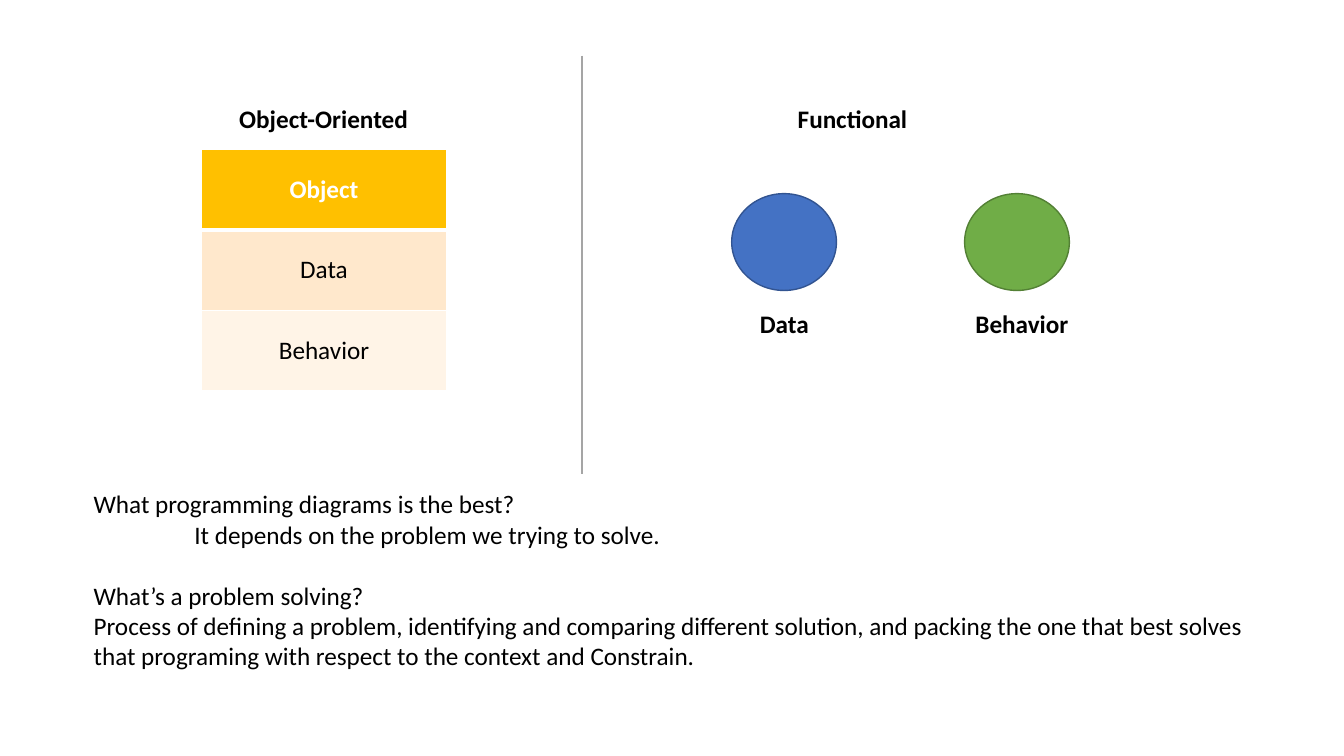
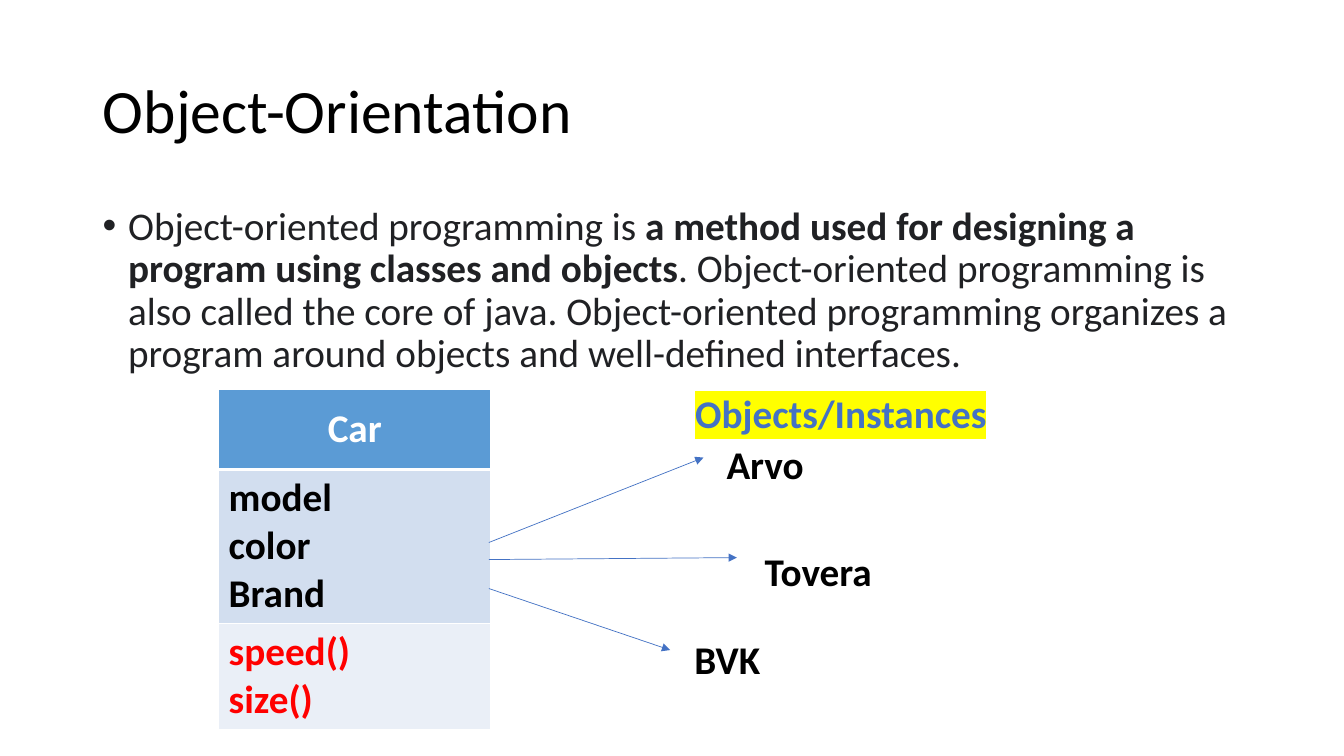
import dataclasses

import pptx
import pptx.dml.color
import pptx.enum.shapes
import pptx.enum.text
import pptx.oxml.xmlchemy
import pptx.util

Cm = pptx.util.Cm
Pt = pptx.util.Pt
ALIGN = pptx.enum.text.PP_ALIGN
ANCHOR = pptx.enum.text.MSO_ANCHOR
SHAPE = pptx.enum.shapes.MSO_SHAPE
LINE = pptx.enum.shapes.MSO_CONNECTOR.STRAIGHT


@dataclasses.dataclass(frozen=True)
class Theme:
    font: str = "Calibri"
    small: int = 18
    large: int = 28
    title: int = 44
    black: str = "000000"
    white: str = "FFFFFF"
    ink: str = "202124"
    gray: str = "A5A5A5"
    red: str = "FF0000"
    yellow: str = "FFFF00"
    blue: str = "4472C4"
    navy: str = "325491"
    green: str = "70AD47"
    moss: str = "538035"
    gold: tuple = ("FFC000", "FFE8CC", "FFF4E7")
    sky: tuple = ("5B9BD5", "D2DEEF", "EAEFF7")


THEME = Theme()


def rgb(code):
    return pptx.dml.color.RGBColor.from_string(code)


def make(tag, **attrs):
    node = pptx.oxml.xmlchemy.OxmlElement(tag)
    for name, value in attrs.items():
        node.set(name, str(value))
    return node


def style(para, size, color=THEME.black, bold=False, align=ALIGN.LEFT):
    para.alignment = align
    font = para.font
    font.name, font.size, font.bold = THEME.font, Pt(size), bold
    font.color.rgb = rgb(color)


def fill(frame, lines, size, **look):
    """Write one styled paragraph for each line and return them."""
    frame.text = "\n".join(lines)
    for para in frame.paragraphs:
        style(para, size, **look)
    return frame.paragraphs


def frame(slide, left, top, width, height):
    box = slide.shapes.add_textbox(Cm(left), Cm(top), Cm(width), Cm(height))
    box.text_frame.word_wrap = True
    return box.text_frame


def label(slide, box, text, size, **look):
    look.setdefault("bold", True)
    return fill(frame(slide, *box), [text], size, **look)[0]


def indent(para, left, first=0):
    props = para._p.get_or_add_pPr()
    props.set("marL", str(Cm(left)))
    props.set("indent", str(Cm(first)))
    return props


def line(slide, start, end, color, width, arrow=False):
    points = [Cm(value) for value in (*start, *end)]
    link = slide.shapes.add_connector(LINE, *points)
    link.line.color.rgb = rgb(color)
    link.line.width = Pt(width)
    props = link._element.spPr
    if arrow:
        props.get_or_add_ln().append(make("a:tailEnd", type="triangle"))
    props.append(make("a:effectLst"))


def border(cell, top, bottom):
    """Draw white cell edges; top and bottom are widths in points."""
    props = cell._tc.get_or_add_tcPr()
    for spot, (side, width) in enumerate(zip("LRTB", (1, 1, top, bottom))):
        edge = make("a:ln" + side, w=Pt(width))
        paint = make("a:solidFill")
        paint.append(make("a:srgbClr", val=THEME.white))
        edge.append(paint)
        props.insert(spot, edge)


def card(slide, left, top, width, rows, fills, size):
    """Add a one-column table; rows holds (height, lines, look)."""
    total = sum(row[0] for row in rows)
    table = slide.shapes.add_table(
        len(rows), 1, Cm(left), Cm(top), Cm(width), Cm(total)).table
    table.first_row = table.horz_banding = False
    for index, ((height, lines, look), color) in enumerate(zip(rows, fills)):
        table.rows[index].height = Cm(height)
        cell = table.cell(index, 0)
        cell.fill.solid()
        cell.fill.fore_color.rgb = rgb(color)
        border(cell, 3 if index == 1 else 1, 3 if index == 0 else 1)
        fill(cell.text_frame, lines, size, **look)
        if look.get("align") == ALIGN.CENTER:
            cell.vertical_anchor = ANCHOR.MIDDLE


HEAD = dict(color=THEME.white, bold=True, align=ALIGN.CENTER)


def object_side(slide, left, top):
    label(slide, (left, top, 7.67, 1.02), "Object-Oriented", THEME.small,
          align=ALIGN.CENTER)
    mid = dict(align=ALIGN.CENTER)
    rows = [(2.03, ["Object"], HEAD), (2.03, ["Data"], mid),
            (2.03, ["Behavior"], mid)]
    card(slide, left + 0.76, top + 1.27, 6.17, rows, THEME.gold, THEME.small)


def function_side(slide, left, top):
    label(slide, (left, top, 7.67, 1.02), "Functional", THEME.small,
          align=ALIGN.CENTER)
    parts = [("Data", 0.79, -1.72, THEME.blue, THEME.navy),
             ("Behavior", 6.66, 4.27, THEME.green, THEME.moss)]
    for name, ball, text, color, edge in parts:
        disc = slide.shapes.add_shape(
            SHAPE.OVAL, Cm(left + ball), Cm(top + 2.39), Cm(2.64), Cm(2.44))
        disc.shadow.inherit = False
        disc.fill.solid()
        disc.fill.fore_color.rgb = rgb(color)
        disc.line.color.rgb = rgb(edge)
        disc.line.width = Pt(1)
        label(slide, (left + text, top + 5.16, 7.67, 1.02), name,
              THEME.small, align=ALIGN.CENTER)


def answers(slide, box):
    paras = fill(frame(slide, *box), [
        "What programming diagrams is the best?",
        "It depends on the problem we trying to solve.",
        "What’s a problem solving?",
        "Process of defining a problem, identifying and comparing different "
        "solution, and packing the one that best solves that programing with "
        "respect to the context and Constrain."], THEME.small)
    indent(paras[1], 2.54)
    paras[2].space_before = Pt(22)


def compare(deck):
    slide = deck.slides.add_slide(deck.slide_layouts[6])
    object_side(slide, 4.32, 2.49)
    function_side(slide, 17.65, 2.49)
    line(slide, (14.66, 1.4), (14.66, 11.94), THEME.gray, 1.5)
    answers(slide, (2.11, 12.19, 29.64, 4.88))


def heading(slide, text, left, top, width, height):
    title = slide.shapes.title
    title.left, title.top = Cm(left), Cm(top)
    title.width, title.height = Cm(width), Cm(height)
    title.text_frame.vertical_anchor = ANCHOR.MIDDLE
    fill(title.text_frame, [text], THEME.title)[0].line_spacing = 0.9


def summary(slide, box):
    para = frame(slide, *box).paragraphs[0]
    props = indent(para, 0.64, -0.64)
    props.append(make("a:buFont", typeface="Arial"))
    props.append(make("a:buChar", char="•"))
    para.line_spacing = 0.9
    style(para, THEME.large, color=THEME.ink)
    for text, bold in [
            ("Object-oriented programming is ", False),
            ("a method used for designing a program using classes and "
             "objects", True),
            (". Object-oriented programming is also called the core of java. "
             "Object-oriented programming organizes a program around objects "
             "and well-defined interfaces.", False)]:
        run = para.add_run()
        run.text = text
        if bold:
            run.font.bold = True


def car_class(slide, left, top):
    rows = [(2.03, ["Car"], HEAD),
            (3.88, ["model", "color", "Brand"], dict(bold=True)),
            (2.67, ["speed()", "size()"], dict(color=THEME.red, bold=True))]
    card(slide, left, top, 6.86, rows, THEME.sky, THEME.large)


def samples(slide, left, top):
    """Place the arrows and the names they lead to; left is their start."""
    cars = [("Arvo", 3.99, (5.41, 1.85), (5.74, 1.29)),
            ("Tovera", 4.42, (6.25, 4.37), (6.7, 3.99)),
            ("BVK", 5.15, (4.57, 6.7), (4.93, 6.2))]
    for name, start, tip, spot in cars:
        line(slide, (left, top + start), (left + tip[0], top + tip[1]),
             THEME.blue, 0.5, arrow=True)
        label(slide, (left + spot[0], top + spot[1], 4.01, 1.45), name,
              THEME.large)
    para = label(slide, (left + 4.95, top, 7.98, 1.45), "Objects/Instances",
                 THEME.large, color=THEME.blue)
    mark = make("a:highlight")
    mark.append(make("a:srgbClr", val=THEME.yellow))
    para.runs[0]._r.get_or_add_rPr().append(mark)


def orient(deck):
    slide = deck.slides.add_slide(deck.slide_layouts[5])
    heading(slide, "Object-Orientation", 2.34, 1.02, 29.21, 3.68)
    summary(slide, (2.34, 5.08, 29.21, 4.6))
    car_class(slide, 5.51, 9.8)
    samples(slide, 12.32, 9.68)


def main():
    deck = pptx.Presentation()
    deck.slide_width, deck.slide_height = Cm(33.87), Cm(19.05)
    compare(deck)
    orient(deck)
    deck.save("out.pptx")


if __name__ == "__main__":
    main()
